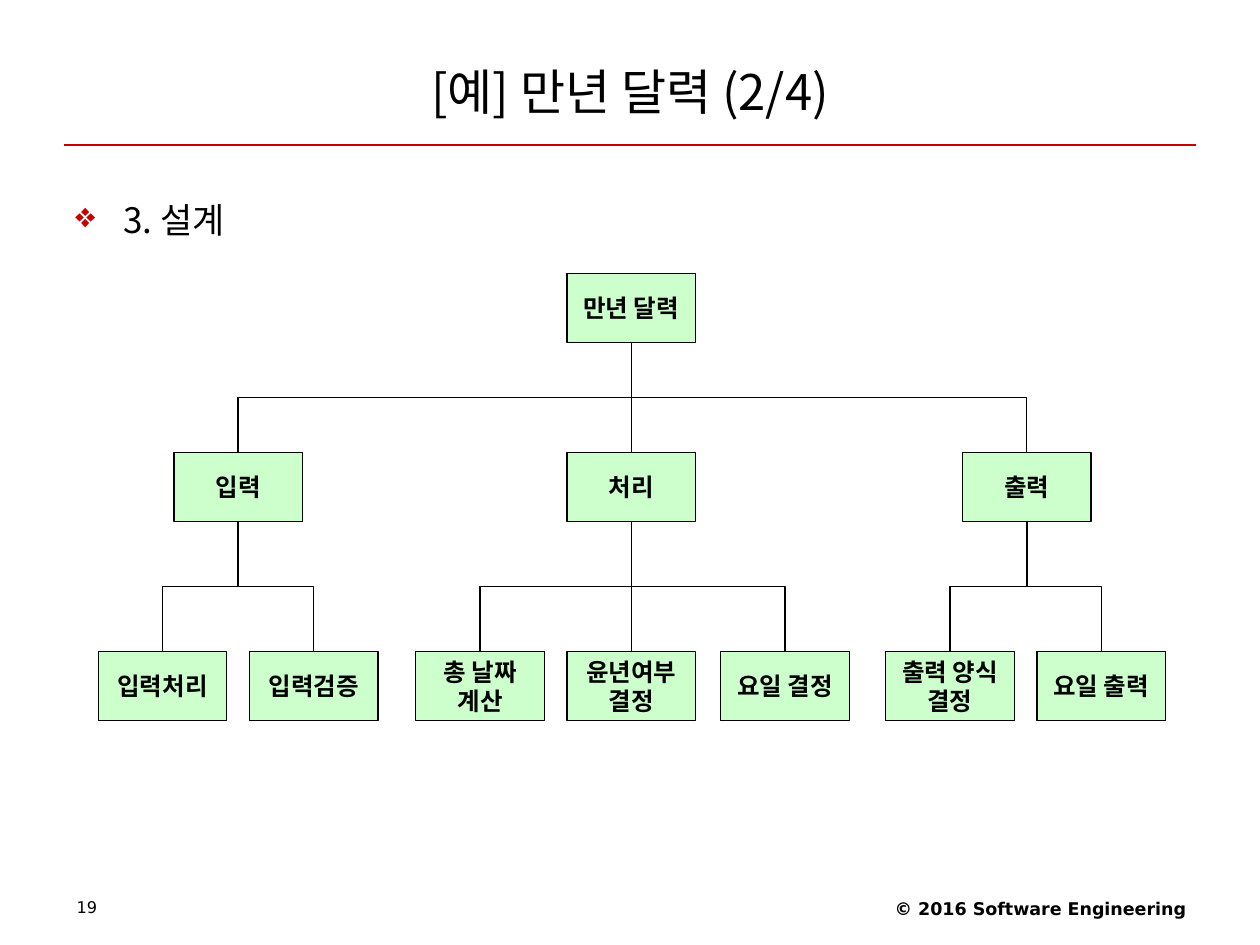
import pptx
import pptx.dml.color
import pptx.enum.shapes
import pptx.enum.text
import pptx.oxml.ns
import pptx.util
from lxml import etree
from pptx.util import Inches

ALIGN = pptx.enum.text.PP_ALIGN
ANCHOR = pptx.enum.text.MSO_ANCHOR
CONNECTOR = pptx.enum.shapes.MSO_CONNECTOR
qn = pptx.oxml.ns.qn

BOX_WIDTH, BOX_HEIGHT = 1.02, 0.55
ROOT_TOP, BRANCH_TOP, LEAF_TOP = 2.17, 3.59, 5.17

# Each branch: label, left, then its leaves as (label, left)
BRANCHES = [
    ("입력", 1.38, [("입력처리", 0.78), ("입력검증", 1.98)]),
    ("처리", 4.5, [("총 날짜\n계산", 3.3), ("윤년여부\n결정", 4.5), ("요일 결정", 5.72)]),
    ("출력", 7.64, [("출력 양식\n결정", 7.03), ("요일 출력", 8.23)]),
]


def color(value):
    return pptx.dml.color.RGBColor.from_string(value)


def write(frame, text, *, size, font="DejaVu Sans", bold=False, align=ALIGN.LEFT,
          anchor=ANCHOR.TOP, wrap=True, line_spacing=None, space_before=0,
          bullet=None, bullet_color="C40000", indent=0):
    """Fill a text frame, one paragraph per line of text."""
    frame.word_wrap = wrap
    frame.vertical_anchor = anchor
    for number, line in enumerate(text.split("\n")):
        paragraph = frame.add_paragraph() if number else frame.paragraphs[0]
        paragraph.alignment = align
        paragraph.space_before = pptx.util.Pt(space_before)
        if line_spacing:
            paragraph.line_spacing = line_spacing
        if bullet:
            properties = paragraph._p.get_or_add_pPr()
            properties.set("marL", str(Inches(indent)))
            properties.set("indent", str(-Inches(indent)))
            bullet_fill = etree.SubElement(properties, qn("a:buClr"))
            etree.SubElement(bullet_fill, qn("a:srgbClr"), val=bullet_color)
            etree.SubElement(properties, qn("a:buChar"), char=bullet)
        run = paragraph.add_run()
        run.text = line
        run.font.size = pptx.util.Pt(size)
        run.font.bold = bold
        run.font.color.rgb = color("000000")
        run.font.name = font
        etree.SubElement(run._r.get_or_add_rPr(), qn("a:ea"), typeface=font)


class Page:
    korean = "Noto Sans CJK KR"
    box_fill = "CCFFCC"
    ink = "000000"
    accent = "C40000"
    line_width = pptx.util.Pt(0.75)

    def __init__(self, slide):
        self.slide = slide

    def text(self, left, top, width, height, text, **style):
        shape = self.slide.shapes.add_textbox(
            Inches(left), Inches(top), Inches(width), Inches(height))
        write(shape.text_frame, text, **style)

    def box(self, left, top, label):
        shape = self.slide.shapes.add_shape(
            pptx.enum.shapes.MSO_SHAPE.RECTANGLE,
            Inches(left), Inches(top), Inches(BOX_WIDTH), Inches(BOX_HEIGHT))
        shape.shadow.inherit = False
        shape.fill.solid()
        shape.fill.fore_color.rgb = color(self.box_fill)
        shape.line.color.rgb = color(self.ink)
        shape.line.width = self.line_width
        frame = shape.text_frame
        frame.margin_left = frame.margin_right = Inches(0.12)
        frame.margin_top = frame.margin_bottom = Inches(0.06)
        write(frame, label, size=14, font=self.korean, bold=True,
              align=ALIGN.CENTER, anchor=ANCHOR.MIDDLE, wrap=False)
        return shape

    def line(self, start, end, kind=CONNECTOR.STRAIGHT, line_color=ink):
        connector = self.slide.shapes.add_connector(kind, *start, *end)
        connector.line.color.rgb = color(line_color)
        connector.line.width = self.line_width
        etree.SubElement(connector._element.spPr, qn("a:effectLst"))
        return connector

    def link(self, parent, child):
        """Join the parent's bottom to the child's top."""
        start = parent.left + parent.width // 2, parent.top + parent.height
        end = child.left + child.width // 2, child.top
        across, down = end[0] - start[0], end[1] - start[1]
        kind = CONNECTOR.ELBOW if across else CONNECTOR.STRAIGHT
        connector = self.line(start, end, kind)
        connector.begin_connect(parent, 2)
        connector.end_connect(child, 0)
        if across:
            # Turn the elbow so that it leaves the parent downwards
            connector.left = (start[0] + end[0] - down) // 2
            connector.top = (start[1] + end[1] - abs(across)) // 2
            connector.width, connector.height = down, abs(across)
            transform = connector._element.spPr.find(qn("a:xfrm"))
            transform.set("rot", str((90 if across < 0 else 270) * 60000))
            transform.set("flipH", "0" if across < 0 else "1")
            transform.set("flipV", "0")


def main():
    presentation = pptx.Presentation()
    presentation.slide_width = Inches(10)
    presentation.slide_height = Inches(7.5)
    page = Page(presentation.slides.add_slide(presentation.slide_layouts[6]))

    # Rule and footer
    page.line((Inches(0.51), Inches(1.15)), (Inches(9.49), Inches(1.15)),
              line_color=page.accent)
    page.text(6.34, 7.08, 3.17, 0.29, "© 2016 Software Engineering",
              size=10, bold=True, align=ALIGN.RIGHT)
    page.text(0.51, 7.09, 2.33, 0.28, "19", size=9.2, line_spacing=0.9)

    # Title and heading
    page.text(0.5, 0.3, 9, 0.85, "[예] 만년 달력 (2/4)", size=28, font=page.korean,
              align=ALIGN.CENTER, anchor=ANCHOR.MIDDLE)
    page.text(0.5, 1.39, 9, 5.51, "3. 설계", size=20, font=page.korean,
              line_spacing=1.4, space_before=5,
              bullet="❖", bullet_color=page.accent, indent=0.38)

    # Structure chart
    root = page.box(4.5, ROOT_TOP, "만년 달력")
    for label, left, leaves in BRANCHES:
        branch = page.box(left, BRANCH_TOP, label)
        page.link(root, branch)
        for leaf_label, leaf_left in leaves:
            page.link(branch, page.box(leaf_left, LEAF_TOP, leaf_label))

    presentation.save("out.pptx")


if __name__ == "__main__":
    main()
